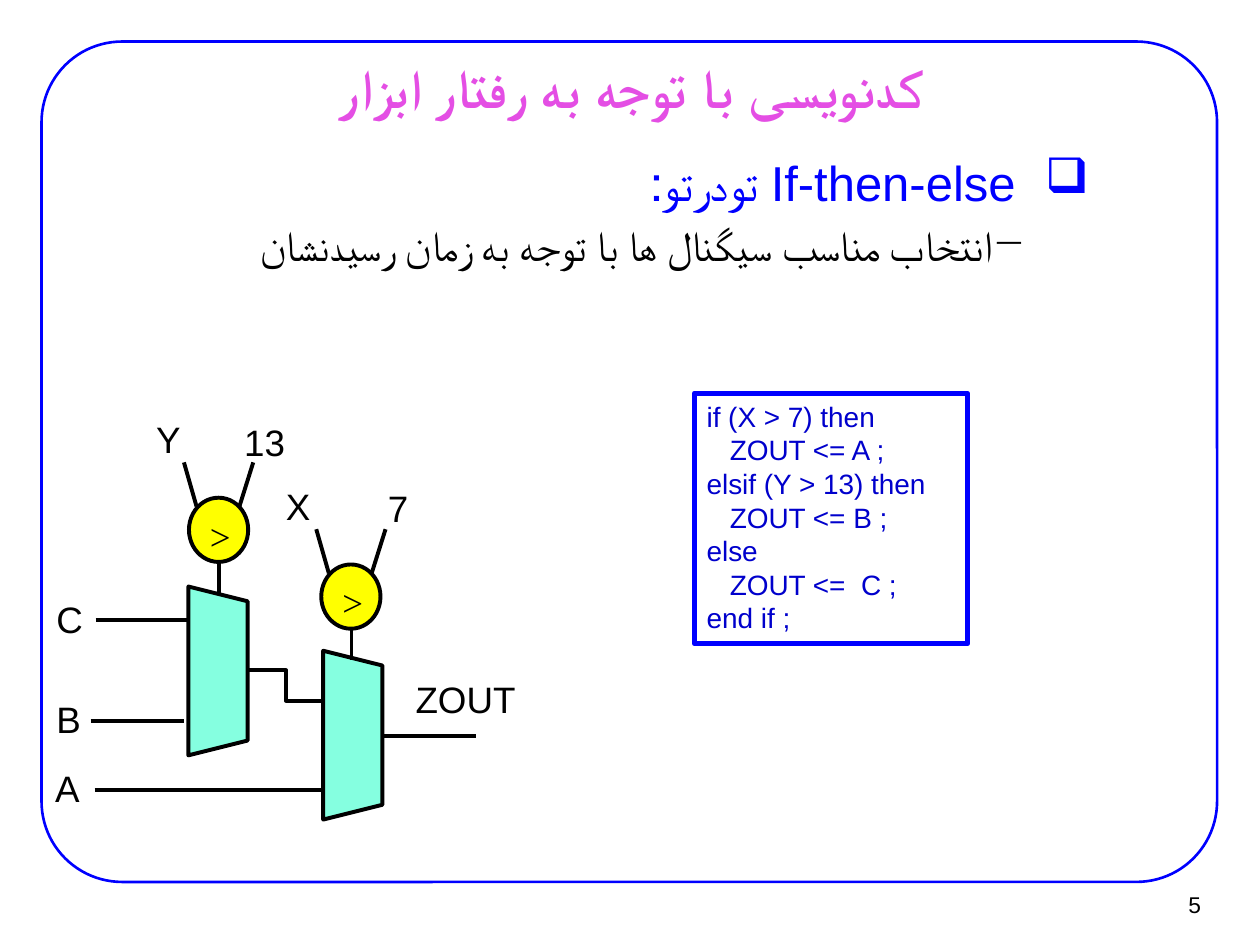
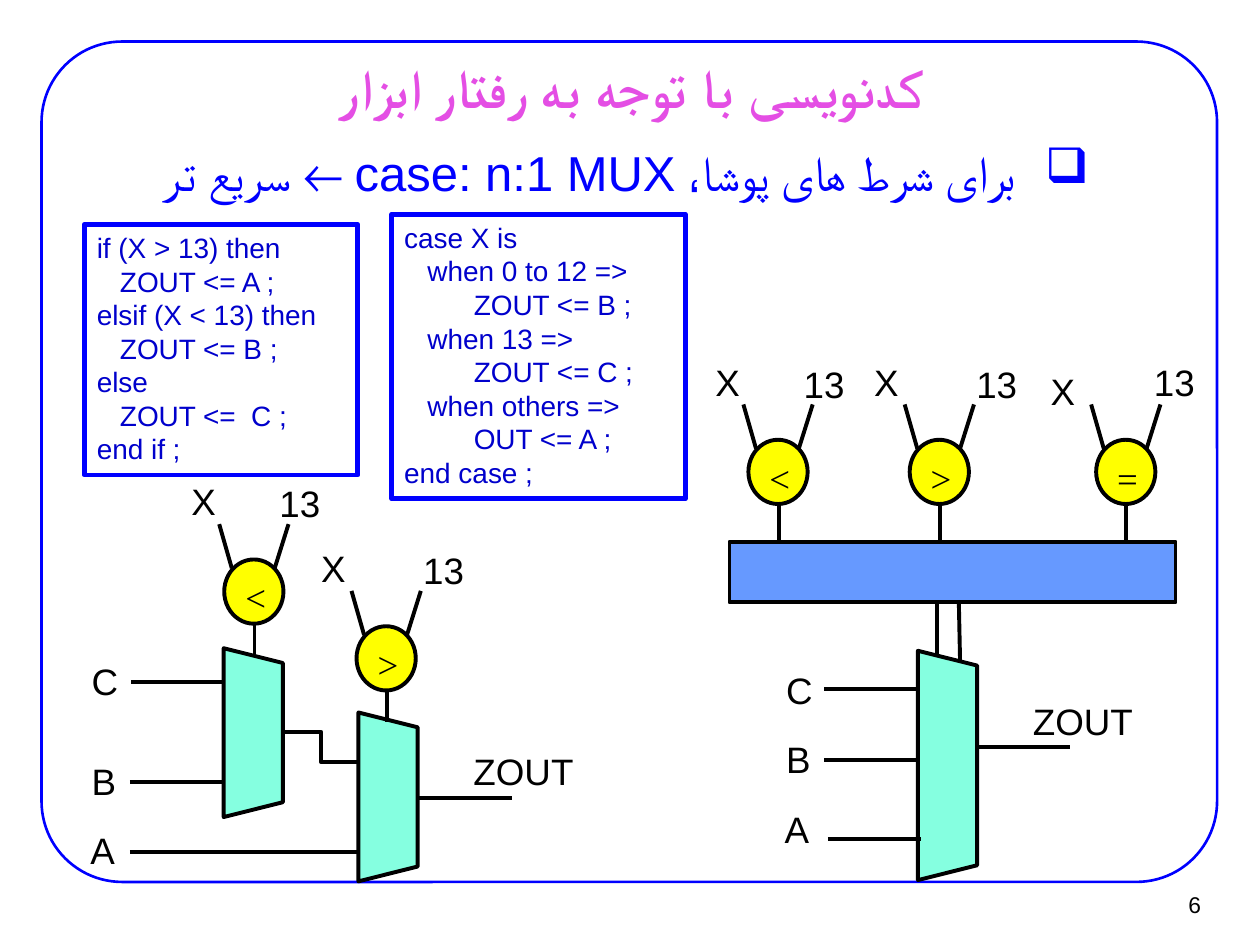
from lxml import etree
from pptx import Presentation
from pptx import util as u
from pptx.dml import color
from pptx.enum import shapes, text
from pptx.oxml import ns

BLUE, PINK, CODE_BLUE, BLACK = "0000FF", "E44EE4", "0000CC", "000000"
MINT, YELLOW, DECODER_BLUE = "85FFE0", "FFFF00", "6699FF"
TITLE = "کدنویسی با توجه به رفتار ابزار"
BULLETS = {1: ("❑", 1.08, -0.58, 28, BLUE), 2: ("−", 1.25, -0.25, 24, BLACK)}

IF_CODE = """if (X > {a}) then
   ZOUT <= A ;
elsif ({test}) then
   ZOUT <= B ;
else
   ZOUT <=  C ;
end if ;"""
CASE_CODE = """case X is
   when 0 to 12 =>
         ZOUT <= B ;
   when 13 =>
         ZOUT <= C ;
   when others =>
         OUT <= A ;
end case ;"""


def paint(shape, fill, line, width):
    shape.shadow.inherit = False
    if fill:
        shape.fill.solid()
        shape.fill.fore_color.rgb = color.RGBColor.from_string(fill)
    else:
        shape.fill.background()
    shape.line.color.rgb = color.RGBColor.from_string(line)
    shape.line.width = u.Pt(width)


def write(paragraph, words, size, colour, font="Arial", align=text.PP_ALIGN.LEFT):
    paragraph.text = words
    paragraph.alignment = align
    for run in paragraph.runs:
        run.font.size = u.Pt(size)
        run.font.name = font
        run.font.color.rgb = color.RGBColor.from_string(colour)


pages = [
    dict(
        number="5", body_top=1.15, origin=(0, 0), b_start=0.72, b_end=1.46, zout=(3.2, 5.32),
        points=[(1, "If-then-else تودرتو:"),
                (2, "انتخاب مناسب سیگنال ها با توجه به زمان رسیدنشان")],
        codes=[(5.51, 3.12, 2.17, 1.99, IF_CODE.format(a=7, test="Y > 13"))],
        cascade_tests=[(">", "Y", "13"), (">", "X", "7")],
        decoder=False,
    ),
    dict(
        number="6", body_top=1.07, origin=(0.28, 0.49), b_start=1.03, b_end=1.77, zout=(3.66, 5.89),
        points=[(1, "برای شرط های پوشا، case: n:1 MUX ← سریع تر")],
        codes=[(3.11, 1.7, 2.33, 2.26, CASE_CODE),
               (0.67, 1.78, 2.17, 1.99, IF_CODE.format(a=13, test="X < 13"))],
        cascade_tests=[("<", "X", "13"), (">", "X", "13")],
        decoder=True,
    ),
]

deck = Presentation()
deck.slide_width, deck.slide_height = u.Inches(10), u.Inches(7.5)

for page in pages:
    slide = deck.slides.add_slide(deck.slide_layouts[5])
    parts = slide.shapes
    dx, dy = page["origin"]

    border = parts.add_shape(shapes.MSO_SHAPE.ROUNDED_RECTANGLE, u.Inches(0.33), u.Inches(0.33),
                             u.Inches(9.33), u.Inches(6.67))
    border.adjustments[0] = 0.096
    paint(border, None, BLUE, 1.5)

    heading = parts.title
    heading.left, heading.top = u.Inches(0.76), u.Inches(0.44)
    heading.width, heading.height = u.Inches(8.5), u.Inches(0.49)
    points = parts.add_textbox(u.Inches(0.91), u.Inches(page["body_top"]), u.Inches(8.34), u.Inches(1.1))
    for block in (heading, points):
        frame = block.text_frame
        frame.word_wrap = True
        frame.auto_size = text.MSO_AUTO_SIZE.NONE
        frame.margin_left = frame.margin_right = u.Inches(0.11)
        frame.margin_top = frame.margin_bottom = u.Inches(0.06)
    heading.text_frame.vertical_anchor = text.MSO_ANCHOR.MIDDLE
    heading_line = heading.text_frame.paragraphs[0]
    write(heading_line, TITLE, 31, PINK, align=text.PP_ALIGN.CENTER)
    heading_line.runs[0].font.bold = True

    for index, (level, words) in enumerate(page["points"]):
        mark, margin, indent, size, colour = BULLETS[level]
        point = points.text_frame.add_paragraph() if index else points.text_frame.paragraphs[0]
        properties = point._p.get_or_add_pPr()
        properties.set("marL", str(u.Inches(margin)))
        properties.set("indent", str(u.Inches(indent)))
        properties.set("rtl", "1")
        etree.SubElement(properties, ns.qn("a:buChar")).set("char", mark)
        point.level = level - 1
        if index:
            point.space_before = u.Pt(5)
        write(point, words, size, colour, align=text.PP_ALIGN.RIGHT)

    page_number = parts.add_textbox(u.Inches(9.02), u.Inches(6.99), u.Inches(0.61), u.Inches(0.37))
    page_number.text_frame.word_wrap = True
    page_number.text_frame.vertical_anchor = text.MSO_ANCHOR.MIDDLE
    write(page_number.text_frame.paragraphs[0], page["number"], 13, BLACK, align=text.PP_ALIGN.RIGHT)

    for left, top, width, height, code in page["codes"]:
        listing = parts.add_shape(shapes.MSO_SHAPE.RECTANGLE, u.Inches(left), u.Inches(top),
                                  u.Inches(width), u.Inches(height))
        paint(listing, None, BLUE, 2.75)
        listing.text_frame.word_wrap = True
        listing.text_frame.vertical_anchor = text.MSO_ANCHOR.TOP
        write(listing.text_frame.paragraphs[0], code, 16, CODE_BLUE)

    first, second = page["cascade_tests"]
    muxes = [(1.06 + dx, 5.09 + dy, 1.34), (2.13 + dx, 5.6 + dy, 1.34)]
    comparators = [
        (1.5 + dx, 3.95 + dy, 0.25, *first, (-0.36, -0.69), (0.34, -0.67)),
        (2.55 + dx, 4.48 + dy, 0.25, *second, (-0.38, -0.69), (0.43, -0.67)),
    ]
    wires = [
        (0.76 + dx, 4.92 + dy, 1.5 + dx, 4.92 + dy),
        (page["b_start"], 5.72 + dy, page["b_end"], 5.72 + dy),
        (0.75 + dx, 6.27 + dy, 2.57 + dx, 6.27 + dy),
        (3.04 + dx, 5.84 + dy, 3.78 + dx, 5.84 + dy),
        (1.97 + dx, 5.32 + dy, 2.57 + dx, 5.56 + dy),
    ]
    labels = [("A", 0.34 + dx, 6.03 + dy), ("B", 0.35 + dx, 5.48 + dy),
              ("C", 0.35 + dx, 4.69 + dy), ("ZOUT", *page["zout"])]

    if page["decoder"]:
        decoder = parts.add_shape(shapes.MSO_SHAPE.RECTANGLE, u.Inches(5.79), u.Inches(4.3),
                                  u.Inches(3.54), u.Inches(0.48))
        paint(decoder, DECODER_BLUE, BLACK, 2.25)
        muxes.append((6.61, 5.84, 1.82))
        comparators += [
            (5.94, 3.49, 0.3, "<", "X", "13", (-0.36, -0.68), (0.34, -0.67)),
            (7.22, 3.49, 0.3, ">", "X", "13", (-0.38, -0.68), (0.43, -0.67)),
            (8.7, 3.49, 0.3, "=", "X", "13", (-0.46, -0.61), (0.36, -0.68)),
        ]
        wires += [(6.54, 5.47, 7.28, 5.47), (6.54, 6.03, 7.28, 6.03), (6.57, 6.66, 7.31, 6.66),
                  (7.44, 4.79, 7.44, 5.2), (7.61, 4.78, 7.62, 5.25), (7.76, 5.93, 8.49, 5.93)]
        labels += [("A", 6.13, 6.35), ("B", 6.14, 5.8), ("C", 6.14, 5.25), ("ZOUT", 8.1, 5.5)]

    for left, top, length in muxes:
        mux = parts.add_shape(shapes.MSO_SHAPE.TRAPEZOID, u.Inches(left), u.Inches(top),
                              u.Inches(length), u.Inches(0.47))
        mux.rotation = 90
        paint(mux, MINT, BLACK, 2.25)

    for x, y, stem, operator, left_input, right_input, left_shift, right_shift in comparators:
        comparator = parts.add_shape(shapes.MSO_SHAPE.OVAL, u.Inches(x), u.Inches(y),
                                     u.Inches(0.47), u.Inches(0.51))
        paint(comparator, YELLOW, BLACK, 2.25)
        comparator.text_frame.vertical_anchor = text.MSO_ANCHOR.TOP
        write(comparator.text_frame.paragraphs[0], operator, 21, BLACK, "Times New Roman")
        wires += [(x - 0.04, y - 0.28, x + 0.06, y + 0.07),
                  (x + 0.51, y - 0.28, x + 0.4, y + 0.07),
                  (x + 0.24, y + 0.51, x + 0.24, y + 0.51 + stem)]
        for name, (shift_x, shift_y) in ((left_input, left_shift), (right_input, right_shift)):
            labels.append((name, x + shift_x, y + shift_y))

    for x1, y1, x2, y2 in wires:
        bent = x2 - x1 > 0.5 and y1 != y2
        route = shapes.MSO_CONNECTOR.ELBOW if bent else shapes.MSO_CONNECTOR.STRAIGHT
        wire = parts.add_connector(route, u.Inches(x1), u.Inches(y1), u.Inches(x2), u.Inches(y2))
        wire.line.color.rgb = color.RGBColor.from_string(BLACK)
        wire.line.width = u.Pt(2.25)
        etree.SubElement(wire._element.spPr, ns.qn("a:effectLst"))

    for name, left, top in labels:
        signal = parts.add_textbox(u.Inches(left), u.Inches(top),
                                   u.Inches(0.1 + 0.3 * len(name)), u.Inches(0.46))
        signal.text_frame.word_wrap = True
        write(signal.text_frame.paragraphs[0], name, 21, BLACK)

deck.save("out.pptx")
